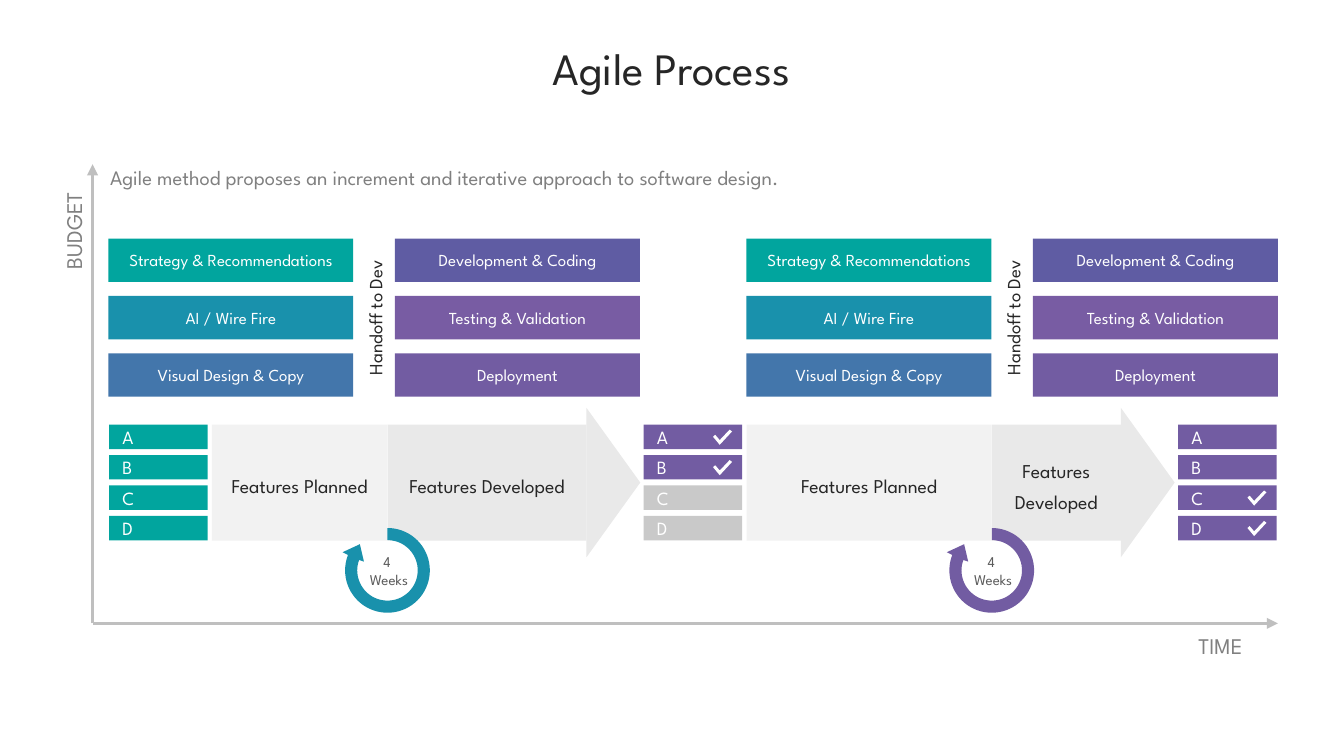
from math import cos, radians, sin

from lxml import etree
from pptx import Presentation
from pptx.dml.color import RGBColor
from pptx.enum.shapes import MSO_CONNECTOR, MSO_SHAPE
from pptx.enum.text import MSO_ANCHOR, MSO_AUTO_SIZE, PP_ALIGN
from pptx.oxml.ns import qn
from pptx.util import Pt

RECT, TRI = MSO_SHAPE.RECTANGLE, MSO_SHAPE.ISOSCELES_TRIANGLE
LEFT, MID = PP_ALIGN.LEFT, PP_ALIGN.CENTER
FONT = "League Spartan"
HEX = {
    "teal": "01A59E", "cyan": "1991AC", "blue": "4376AB", "indigo": "5F5CA3",
    "violet": "785CA3", "purple": "725CA2", "gray": "C9C9C9", "axis": "BFBFBF",
    "pale": "F2F2F2", "mist": "E9E9E9", "white": "FFFFFF", "ink": "262626",
    "label": "808080", "weeks": "5C5C5C",
}

TITLE = "Agile Process"
LABELS = [
    ("BUDGET", (7.2, 114.5, 59.8, 18), 12, MID, MSO_ANCHOR.MIDDLE, 270),
    ("TIME", (627.2, 334.8, 53.3, 18), 12, MID, MSO_ANCHOR.MIDDLE, 0),
    ("Agile method proposes an increment and iterative approach to software design.",
     (59, 84.3, 625, 16.5), 11, LEFT, MSO_ANCHOR.TOP, 0),
]
AXES = [(49.6, 88), (684.6, 334)]
STAGES = [
    [("Strategy & Recommendations", "teal"), ("AI / Wire Fire", "cyan"),
     ("Visual Design & Copy", "blue")],
    [("Development & Coding", "indigo"), ("Testing & Validation", "violet"),
     ("Deployment", "purple")],
]
HANDOFF = "Handoff to Dev"
FLOWS = [
    {"start": 113.5, "split": 207.6, "neck": 314.2, "ring": "cyan"},
    {"start": 399.9, "split": 531.3, "neck": 600.5, "ring": "purple"},
]
PLAN, BUILD = "Features Planned", "Features Developed"
WEEKS = ["4 ", "Weeks"]
LISTS = [
    (["teal"] * 4, ""),
    (["purple", "purple", "gray", "gray"], "AB"),
    (["purple"] * 4, "CD"),
]
NAMES = "ABCD"

EDGE, CYCLE, STEP = 58.1, 341.8, 153.5
BAR_W, BAR_H, BAR_TOP, BAR_GAP = 131.2, 23.3, 127.8, 30.75
ITEM_X, ITEM_STEP, ITEM_W, ITEM_H, ITEM_GAP = 58.5, 286.3, 52.8, 13.1, 16.3
FLOW_TOP, FLOW_H = 227.5, 62.1
TIP_W, TIP_H = 28.8, 80
RING_Y, OUTER, INNER = 305.6, 22.7, 16.2
CHECK = [(0, 3.8), (1.2, 2.8), (3.6, 5.6), (8.9, 0), (10.2, 1), (3.6, 8.1)]
BARB = [(-12.6, -4.7), (-14.8, -14), (-24.1, -9.7), (-21.2, -8.3)]


def tint(name):
    return RGBColor.from_string(HEX[name])


def write(shape, lines, size, ink, align=MID, pad=0, lead=None, after=None,
          anchor=MSO_ANCHOR.MIDDLE):
    frame = shape.text_frame
    frame.word_wrap = True
    frame.auto_size = MSO_AUTO_SIZE.NONE
    frame.vertical_anchor = anchor
    frame.margin_left = frame.margin_right = Pt(pad)
    frame.margin_top = frame.margin_bottom = Pt(pad)
    para = frame.paragraphs[0]
    para.alignment = align
    if lead:
        para.line_spacing = lead
    if after:
        para.space_after = Pt(after)
    for i, line in enumerate(lines):
        if i:
            para.add_line_break()
        run = para.add_run()
        run.text = line
        run.font.name = FONT
        run.font.size = Pt(size)
        run.font.color.rgb = tint(ink)


def paint(shape, fill):
    shape.shadow.inherit = False
    shape.fill.solid()
    shape.fill.fore_color.rgb = tint(fill)
    shape.line.fill.background()
    return shape


def block(box, fill, kind=RECT):
    return paint(slide.shapes.add_shape(kind, *map(Pt, box)), fill)


def note(text, box, size, ink, turn=0, **style):
    shape = slide.shapes.add_textbox(*map(Pt, box))
    shape.rotation = turn
    write(shape, text, size, ink, **style)


def trace(points, x, y, fill):
    spots = [(Pt(x + a), Pt(y + b)) for a, b in points]
    pen = slide.shapes.build_freeform(*spots[0])
    pen.add_line_segments(spots[1:], close=True)
    paint(pen.convert_to_shape(), fill)


def arc(size, start, end, step):
    return [(size * cos(radians(a)), size * sin(radians(a)))
            for a in range(start, end, step)]


def axis(x, y):
    line = slide.shapes.add_connector(
        MSO_CONNECTOR.STRAIGHT, Pt(AXES[0][0]), Pt(AXES[1][1]), Pt(x), Pt(y))
    line.line.color.rgb = tint("axis")
    line.line.width = Pt(1.5)
    props = line._element.spPr
    etree.SubElement(props.find(qn("a:ln")), qn("a:tailEnd"), type="triangle")
    etree.SubElement(props, qn("a:effectLst"))


deck = Presentation()
deck.slide_width, deck.slide_height = Pt(720), Pt(405)
slide = deck.slides.add_slide(deck.slide_layouts[5])
title = slide.shapes.title
title.left, title.top, title.width, title.height = map(Pt, (30.2, 16.6, 658.8, 38.9))
write(title, [TITLE], 24, "ink")

for end in AXES:
    axis(*end)
for text, box, size, align, anchor, turn in LABELS:
    note([text], box, size, "label", turn, align=align, anchor=anchor,
         lead=1.3, after=10)

mid = FLOW_TOP + FLOW_H / 2
for flow in FLOWS:
    start, split, neck = flow["start"], flow["split"], flow["neck"]
    tip = block((neck + (TIP_W - TIP_H) / 2, mid - TIP_W / 2, TIP_H, TIP_W), "mist", TRI)
    tip.rotation = 90
    for text, x, end, fill in [(BUILD, split, neck, "mist"), (PLAN, start, split, "pale")]:
        shape = block((x, FLOW_TOP, end - x, FLOW_H), fill)
        write(shape, [text], 10.5, "ink", pad=7.2, lead=1.3)

for i, (fills, done) in enumerate(LISTS):
    x = ITEM_X + i * ITEM_STEP
    for j, (name, fill) in enumerate(zip(NAMES, fills)):
        y = FLOW_TOP + j * ITEM_GAP
        write(block((x, y, ITEM_W, ITEM_H), fill), [name], 10, "white", LEFT, 7.2)
        if name in done:
            trace(CHECK, x + 37.2, y + 2.7, "white")

for i in range(len(FLOWS)):
    for j, stage in enumerate(STAGES):
        for k, (text, fill) in enumerate(stage):
            box = (EDGE + i * CYCLE + j * STEP, BAR_TOP + k * BAR_GAP, BAR_W, BAR_H)
            write(block(box, fill), [text], 9, "white")
    note([HANDOFF], (158.4 + i * CYCLE, 162.7, 81.4, 15.1), 10, "ink", 270,
         lead=1.3, after=10)

ring = arc(INNER, -90, 201, 5) + BARB + arc(OUTER, 200, -91, -5)
for flow in FLOWS:
    x = flow["split"]
    trace(ring, x, RING_Y, flow["ring"])
    note(WEEKS, (x - 13.2, RING_Y - 9.7, 28, 19.4), 8, "weeks", after=9)

deck.save("out.pptx")
